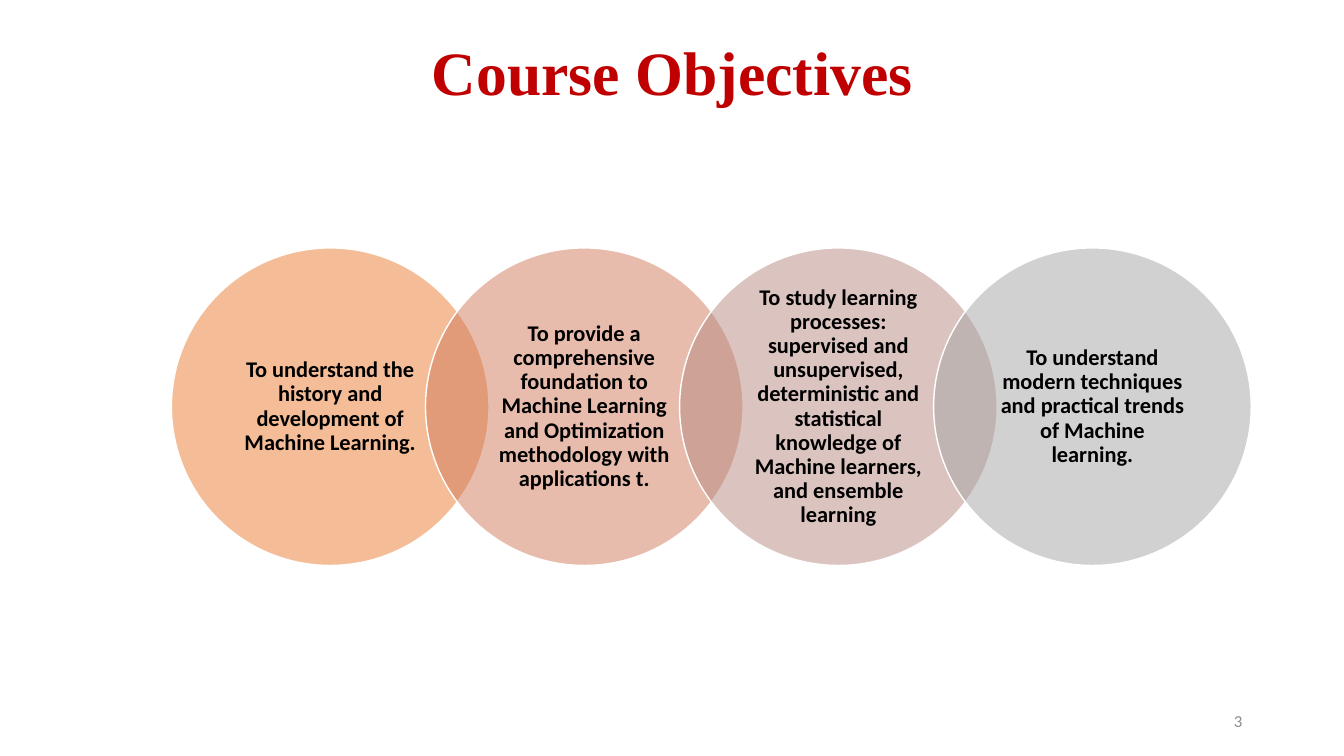
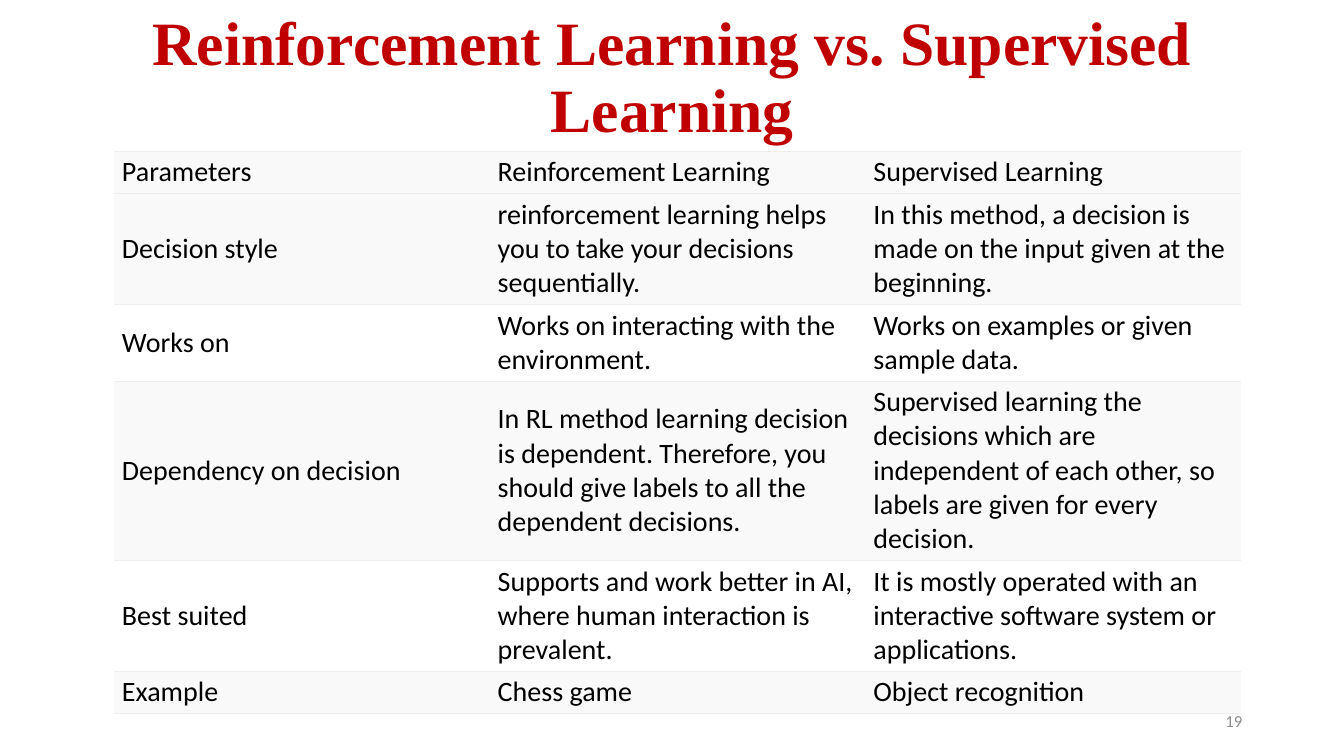
from lxml import etree
from pptx import Presentation
from pptx.dml.color import RGBColor
from pptx.enum.shapes import MSO_SHAPE
from pptx.enum.text import MSO_ANCHOR, PP_ALIGN
from pptx.oxml.ns import qn
from pptx.util import Inches, Pt

ELLIPSE = MSO_SHAPE.OVAL
MIDDLE = MSO_ANCHOR.MIDDLE
LEFT, CENTER, RIGHT = PP_ALIGN.LEFT, PP_ALIGN.CENTER, PP_ALIGN.RIGHT
BODY_FONT, TITLE_FONT = "Calibri", "Times New Roman"
PLAIN_TABLE = "{2D5ABB26-0587-4C30-8999-92F81FD0307C}"
COLORS = {
    "title": "C00000", "text": "000000", "number": "8C8C8C",
    "white": "FFFFFF", "band": "F9F9F9", "rule": "EEEEEE",
    "orange": "ED7D31", "rust": "D17B5C", "rose": "B98A82", "gray": "A5A5A5",
}


def rgb(name):
    """Return the named colour."""
    return RGBColor.from_string(COLORS[name])


class Deck:
    """Holds the shared style and the current page."""

    def __init__(self):
        """Start an empty widescreen deck."""
        self.deck = Presentation()
        self.deck.slide_width = Inches(13.33)
        self.deck.slide_height = Inches(7.5)
        self.page = None

    def add_page(self, title, number, title_top):
        """Add a blank page with its title and page number."""
        self.page = self.deck.slides.add_slide(self.deck.slide_layouts[6])
        self.text(title, 0.92, title_top, 11.5, 1.45, CENTER, 0.9,
                  size=44, color="title", font=TITLE_FONT, bold=True)
        self.text(number, 9.42, 6.95, 3, 0.4, RIGHT, size=12, color="number")

    def fill_text(self, frame, text, align, spacing=1.0, size=20, color="text",
                  font=BODY_FONT, bold=False):
        """Put one styled paragraph into a text frame."""
        frame.word_wrap = True
        para = frame.paragraphs[0]
        para.alignment = align
        para.line_spacing = spacing
        span = para.add_run()
        span.text = text
        span.font.name = font
        span.font.size = Pt(size)
        span.font.bold = bold
        span.font.color.rgb = rgb(color)

    def text(self, text, left, top, width, height, align, spacing=1.0, **style):
        """Add a vertically centred text box."""
        box = self.page.shapes.add_textbox(
            Inches(left), Inches(top), Inches(width), Inches(height))
        box.text_frame.vertical_anchor = MIDDLE
        self.fill_text(box.text_frame, text, align, spacing, **style)

    def circle(self, text, left, top, diameter, color):
        """Add a half-transparent circle with a bold label."""
        circle = self.page.shapes.add_shape(
            ELLIPSE, Inches(left), Inches(top), Inches(diameter), Inches(diameter))
        circle.shadow.inherit = False
        circle.fill.solid()
        circle.fill.fore_color.rgb = rgb(color)
        fill_color = circle.element.spPr.find(qn("a:solidFill"))[0]
        etree.SubElement(fill_color, qn("a:alpha"), val="50000")
        circle.line.color.rgb = rgb("white")
        circle.line.width = Pt(1)
        frame = circle.text_frame
        frame.vertical_anchor = MIDDLE
        frame.margin_left = frame.margin_right = Inches(0.17)
        frame.margin_top = frame.margin_bottom = Inches(0.02)
        self.fill_text(frame, text, CENTER, 0.9, size=16, bold=True)

    def rule_cell(self, cell):
        """Draw thin rules above and below a table cell."""
        properties = cell._tc.get_or_add_tcPr()
        for index, edge in enumerate(("a:lnT", "a:lnB")):
            line = etree.Element(qn(edge), w=str(Pt(0.75)))
            fill = etree.SubElement(line, qn("a:solidFill"))
            etree.SubElement(fill, qn("a:srgbClr"), val=COLORS["rule"])
            properties.insert(index, line)

    def table(self, rows, fills, line_counts, left, top, width):
        """Add a ruled table whose row heights follow their line counts."""
        heights = [0.34 * count + 0.08 for count in line_counts]
        frame = self.page.shapes.add_table(
            len(rows), len(rows[0]), Inches(left), Inches(top),
            Inches(width), Inches(sum(heights)))
        table = frame.table
        table.first_row = table.horz_banding = False
        table._tbl.tblPr.find(qn("a:tableStyleId")).text = PLAIN_TABLE
        for r, values in enumerate(rows):
            table.rows[r].height = Inches(heights[r])
            for c, value in enumerate(values):
                cell = table.cell(r, c)
                cell.fill.solid()
                cell.fill.fore_color.rgb = rgb(fills[r])
                cell.vertical_anchor = MIDDLE
                cell.margin_left = cell.margin_right = Inches(0.08)
                cell.margin_top = cell.margin_bottom = Inches(0.04)
                self.fill_text(cell.text_frame, value, LEFT)
                self.rule_cell(cell)


def add_objectives(deck):
    """Build the page of overlapping objective circles."""
    deck.add_page("Course Objectives", "3", 0.02)
    objectives = [
        ("orange", "To understand the history and development of Machine Learning."),
        ("rust", "To provide a comprehensive foundation to Machine Learning and "
                 "Optimization methodology with applications t."),
        ("rose", "To study learning processes: supervised and unsupervised, "
                 "deterministic and statistical knowledge of Machine learners, "
                 "and ensemble learning"),
        ("gray", "To understand modern techniques and practical trends of "
                 "Machine learning."),
    ]
    diameter = 3.15
    for index, (color, objective) in enumerate(objectives):
        deck.circle(objective, 1.7 + index * 0.8 * diameter, 2.46, diameter, color)


def add_comparison(deck):
    """Build the page that compares two kinds of learning."""
    deck.add_page("Reinforcement Learning vs. Supervised Learning", "19", 0.06)
    rows = [
        ("Parameters", "Reinforcement Learning", "Supervised Learning"),
        ("Decision style",
         "reinforcement learning helps you to take your decisions sequentially.",
         "In this method, a decision is made on the input given at the beginning."),
        ("Works on", "Works on interacting with the environment.",
         "Works on examples or given sample data."),
        ("Dependency on decision",
         "In RL method learning decision is dependent. Therefore, you should "
         "give labels to all the dependent decisions.",
         "Supervised learning the decisions which are independent of each "
         "other, so labels are given for every decision."),
        ("Best suited",
         "Supports and work better in AI, where human interaction is prevalent.",
         "It is mostly operated with an interactive software system or "
         "applications."),
        ("Example", "Chess game", "Object recognition"),
    ]
    fills = ["band", "band", "white", "band", "white", "band"]
    deck.table(rows, fills, [1, 3, 2, 5, 3, 1], 1.13, 1.5, 11.18)


course = Deck()
add_objectives(course)
add_comparison(course)
course.deck.save("out.pptx")
